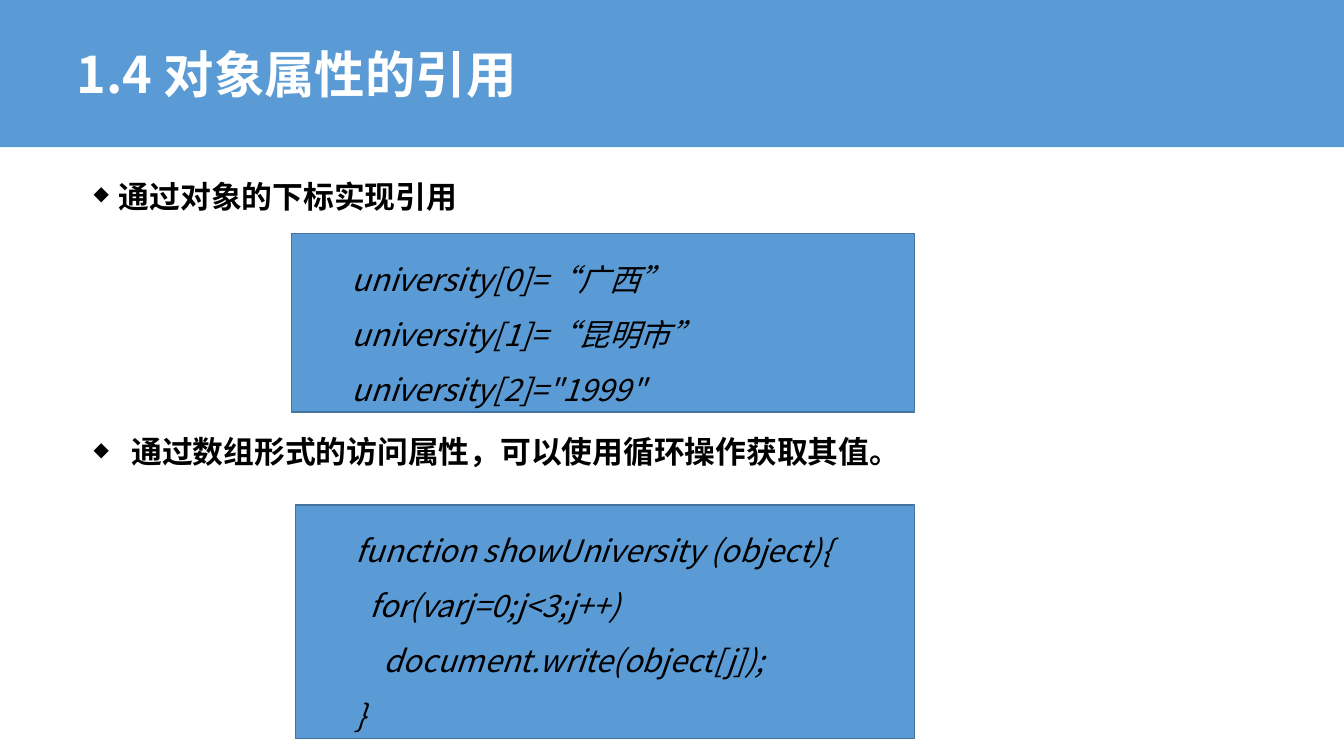
from dataclasses import dataclass

from lxml import etree
from pptx import Presentation
from pptx.dml.color import RGBColor
from pptx.enum import shapes, text
from pptx.oxml import ns
from pptx.util import Pt


@dataclass(frozen=True)
class Theme:
    font: str = "Noto Sans CJK SC"
    blue: RGBColor = RGBColor(0x5B, 0x9B, 0xD5)
    outline: RGBColor = RGBColor(0x43, 0x73, 0x9E)
    white: RGBColor = RGBColor(0xFF, 0xFF, 0xFF)
    black: RGBColor = RGBColor(0, 0, 0)
    title_size: int = 36
    body_size: int = 22
    bullet_leading: float = 32
    code_leading: float = 39.3


THEME = Theme()
CODE_MARGIN = 36
CODE_STEP = 10  # indent of one nesting level


def set_attributes(target, values):
    for name, value in values.items():
        setattr(target, name, value)


def write(paragraph, content, size, color, **style):
    """Add one run in the theme font, for Latin and Chinese alike."""
    run = paragraph.add_run()
    run.text = content
    set_attributes(run.font, {"name": THEME.font, "size": Pt(size), **style})
    run.font.color.rgb = color
    east_asian = etree.SubElement(run.font._element, ns.qn("a:ea"))
    east_asian.set("typeface", THEME.font)


def add_panel(slide, box, outline=None):
    panel = slide.shapes.add_shape(shapes.MSO_SHAPE.RECTANGLE, *map(Pt, box))
    panel.shadow.inherit = False
    panel.fill.solid()
    panel.fill.fore_color.rgb = THEME.blue
    if outline is None:
        panel.line.fill.background()
    else:
        panel.line.color.rgb = outline
        panel.line.width = Pt(1)
    return panel


def add_text_frame(slide, box, anchor):
    frame = slide.shapes.add_textbox(*map(Pt, box)).text_frame
    set_attributes(frame, {"word_wrap": True, "vertical_anchor": anchor})
    return frame


def add_title(slide, content):
    frame = add_text_frame(slide, (47.5, 0, 846.7, 105.1), text.MSO_ANCHOR.MIDDLE)
    write(frame.paragraphs[0], content, THEME.title_size, THEME.white, bold=True)


def add_bullet(slide, top, indent, content):
    frame = add_text_frame(slide, (59.8, top, 840, 40), text.MSO_ANCHOR.TOP)
    paragraph = frame.paragraphs[0]
    paragraph.line_spacing = Pt(THEME.bullet_leading)
    properties = paragraph._p.get_or_add_pPr()
    properties.set("marL", str(Pt(indent)))
    properties.set("indent", str(-Pt(indent)))
    etree.SubElement(properties, ns.qn("a:buSzPct")).set("val", "65000")
    etree.SubElement(properties, ns.qn("a:buChar")).set("char", "◆")
    write(paragraph, content, THEME.body_size, THEME.black, bold=True)


def add_code(slide, box, lines):
    """Draw a code panel from (nesting level, code) pairs."""
    frame = add_panel(slide, box, THEME.outline).text_frame
    set_attributes(frame, {
        "word_wrap": True,
        "vertical_anchor": text.MSO_ANCHOR.TOP,
        "margin_top": Pt(6),
        "margin_bottom": Pt(0),
    })
    for number, (level, code) in enumerate(lines):
        paragraph = frame.add_paragraph() if number else frame.paragraphs[0]
        set_attributes(paragraph, {
            "alignment": text.PP_ALIGN.LEFT,
            "line_spacing": Pt(THEME.code_leading),
        })
        margin = Pt(CODE_MARGIN + level * CODE_STEP)
        paragraph._p.get_or_add_pPr().set("marL", str(margin))
        write(paragraph, code, THEME.body_size, THEME.black, italic=True)


def main():
    deck = Presentation()
    set_attributes(deck, {"slide_width": Pt(960), "slide_height": Pt(540)})
    slide = deck.slides.add_slide(deck.slide_layouts[6])

    # Title band
    add_panel(slide, (0, 0, 960, 105.1))
    add_title(slide, "1.4 对象属性的引用")

    # Reference by index
    add_bullet(slide, 117.7, 18, "通过对象的下标实现引用")
    add_code(slide, (208.1, 167, 445, 127.4), [
        (0, "university[0]=“广西”"),
        (0, "university[1]=“昆明市”"),
        (0, 'university[2]="1999"'),
    ])

    # Reference in a loop
    add_bullet(slide, 300, 27, "通过数组形式的访问属性，可以使用循环操作获取其值。")
    add_code(slide, (211, 360.7, 442.1, 167), [
        (0, "function showUniversity (object){"),
        (1, "for(varj=0;j<3;j++)"),
        (2, "document.write(object[j]);"),
        (0, "}"),
    ])

    deck.save("out.pptx")


if __name__ == "__main__":
    main()
